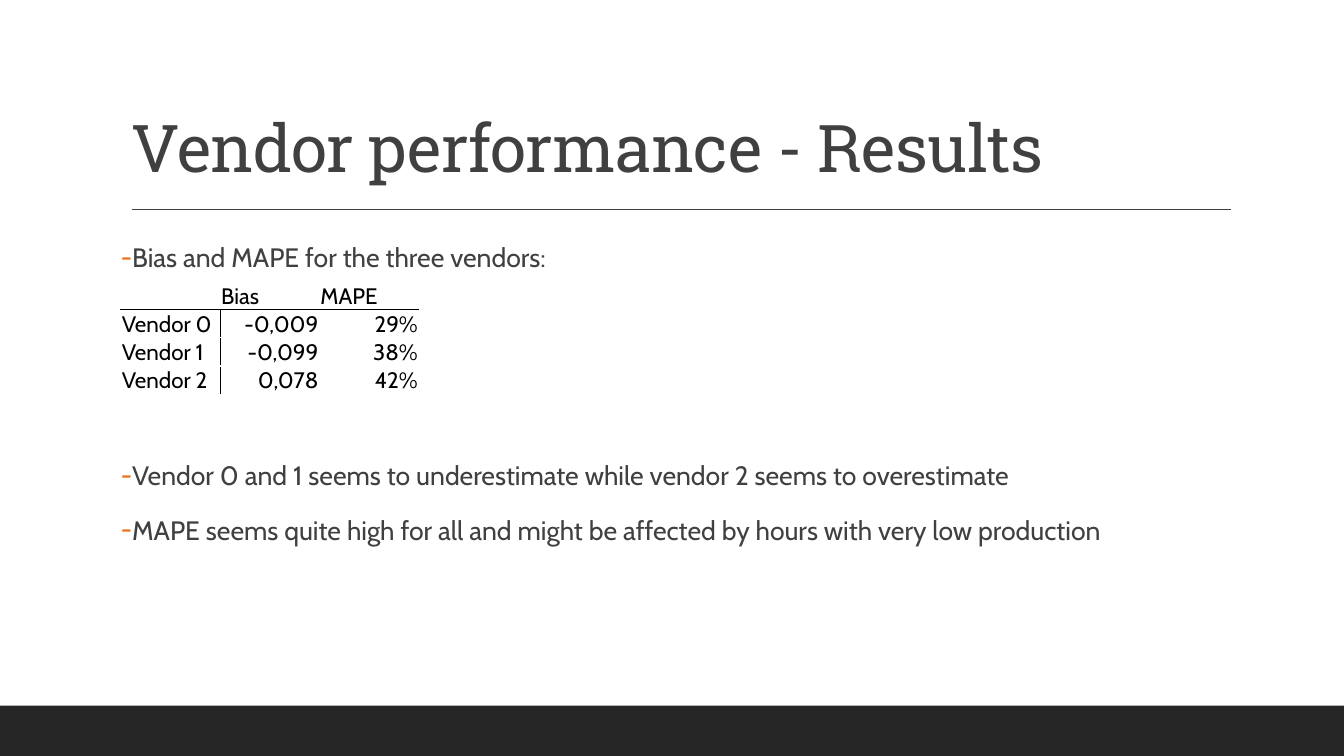
from lxml.etree import SubElement
from pptx import Presentation
from pptx.dml.color import RGBColor
from pptx.enum.shapes import MSO_CONNECTOR as Connector, MSO_SHAPE as Shape
from pptx.enum.text import MSO_ANCHOR as Anchor, MSO_AUTO_SIZE as AutoSize, PP_ALIGN as Align
from pptx.oxml.ns import qn
from pptx.util import Inches, Pt

WHITE = RGBColor(0xFF, 0xFF, 0xFF)
BLACK = RGBColor(0x00, 0x00, 0x00)
CHARCOAL = RGBColor(0x26, 0x26, 0x26)
GREY = RGBColor(0x40, 0x40, 0x40)
ORANGE = RGBColor(0xEC, 0x70, 0x16)

UNIT = Inches(0.1)  # one column or row of the slide grid
COLUMNS, ROWS = 133.33, 75
LEFT, CONTENT_WIDTH = 12, 110

TITLE_FONT = {"name": "Roboto Slab", "size": Pt(47)}
BODY_FONT = {"name": "Cabin", "size": Pt(19)}
TABLE_FONT = {"name": "Cabin", "size": Pt(16)}
TITLE_FRAME = {"vertical_anchor": Anchor.BOTTOM, "auto_size": AutoSize.NONE, "word_wrap": True}
BODY_FRAME = {"vertical_anchor": Anchor.TOP, "auto_size": AutoSize.NONE, "word_wrap": True,
              "margin_left": 0, "margin_right": 0}
CELL_FORMAT = {"vertical_anchor": Anchor.BOTTOM, "margin_left": Inches(0.01),
               "margin_right": Inches(0.01), "margin_top": Inches(0.01), "margin_bottom": 0}
TABLE_FLAGS = {"first_row": False, "horz_banding": False}

TITLE = "Vendor performance - Results"
# Each finding with the points of space above it; the table fills the large gap
FINDINGS = [
    ("Bias and MAPE for the three vendors:", 12),
    ("Vendor 0 and 1 seems to underestimate while vendor 2 seems to overestimate", 128.5),
    ("MAPE seems quite high for all and might be affected by hours with very low production", 12),
]
VENDOR_SCORES = [
    ("", "Bias", "MAPE"),
    ("Vendor 0", "-0,009", "29%"),
    ("Vendor 1", "-0,099", "38%"),
    ("Vendor 2", "0,078", "42%"),
]


def grid(*counts):
    return [round(count * UNIT) for count in counts]


def apply(target, values):
    for key, value in values.items():
        setattr(target, key, value)


class ResultsSlide:
    def __init__(self, deck):
        self.slide = deck.slides.add_slide(deck.slide_layouts[1])
        self.shapes = self.slide.shapes
        self.paint(self.slide.background.fill, WHITE)

    def paint(self, fill, color):
        fill.solid()
        fill.fore_color.rgb = color

    def place(self, holder, top, height, frame_format):
        area = grid(LEFT, top, CONTENT_WIDTH, height)
        apply(holder, dict(zip(("left", "top", "width", "height"), area)))
        apply(holder.text_frame, frame_format)
        return holder.text_frame

    def add_words(self, paragraph, wording, font, color):
        run = paragraph.add_run()
        run.text = wording
        apply(run.font, font)
        run.font.color.rgb = color
        return run

    def band(self, top, height):
        footer = self.shapes.add_shape(Shape.RECTANGLE, *grid(0, top, COLUMNS, height))
        footer.shadow.inherit = False
        self.paint(footer.fill, CHARCOAL)
        footer.line.fill.background()

    def rule(self, left, right, row):
        divider = self.shapes.add_connector(Connector.STRAIGHT, *grid(left, row, right, row))
        divider.line.color.rgb = GREY
        divider.line.width = Pt(1)
        SubElement(divider._element.spPr, qn("a:effectLst"))

    def title(self, wording, top, height):
        heading = self.place(self.shapes.title, top, height, TITLE_FRAME).paragraphs[0]
        apply(heading, {"alignment": Align.LEFT, "line_spacing": 0.9})
        run = self.add_words(heading, wording, TITLE_FONT, GREY)
        run._r.get_or_add_rPr().set("spc", "-50")

    def dash_list(self, findings, top, height):
        frame = self.place(self.slide.placeholders[1], top, height, BODY_FRAME)
        for index, (wording, space_above) in enumerate(findings):
            finding = frame.add_paragraph() if index else frame.paragraphs[0]
            apply(finding, {"line_spacing": 1.1, "space_before": Pt(space_above),
                            "space_after": Pt(2)})
            self.add_words(finding, wording, BODY_FONT, GREY)
            properties = finding._p.get_or_add_pPr()
            properties.set("marL", str(UNIT))
            properties.set("indent", str(-UNIT))
            bullet_color = SubElement(properties, qn("a:buClr"))
            SubElement(bullet_color, qn("a:srgbClr"), val=str(ORANGE))
            SubElement(properties, qn("a:buFont"), typeface=BODY_FONT["name"])
            SubElement(properties, qn("a:buChar"), char="-")

    def cell_borders(self, cell, row, column):
        """Rule black lines below the header and right of the vendor names."""
        black_edges = {
            "L": row > 0 and column == 1,
            "R": row > 0 and column == 0,
            "T": row == 1,
            "B": row == 0,
        }
        properties = cell._tc.get_or_add_tcPr()
        for edge, is_black in black_edges.items():
            line = SubElement(properties, qn(f"a:ln{edge}"), w=str(Pt(1)))
            fill = SubElement(line, qn("a:solidFill"))
            SubElement(fill, qn("a:srgbClr"), val=str(BLACK if is_black else WHITE))

    def table(self, scores, top, column_width, row_height):
        row_count, column_count = len(scores), len(scores[0])
        area = grid(LEFT, top, column_count * column_width, row_count * row_height)
        score_table = self.shapes.add_table(row_count, column_count, *area).table
        apply(score_table, TABLE_FLAGS)
        for row, values in enumerate(scores):
            for column, value in enumerate(values):
                cell = score_table.cell(row, column)
                apply(cell, CELL_FORMAT)
                self.cell_borders(cell, row, column)
                self.paint(cell.fill, WHITE)
                entry = cell.text_frame.paragraphs[0]
                entry.alignment = Align.RIGHT if row and column else Align.LEFT
                if value:
                    self.add_words(entry, value, TABLE_FONT, BLACK)
                else:
                    size = str(round(TABLE_FONT["size"].pt * 100))
                    SubElement(entry._p, qn("a:endParaRPr"), sz=size)


def main():
    deck = Presentation()
    deck.slide_width, deck.slide_height = grid(COLUMNS, ROWS)
    results = ResultsSlide(deck)
    results.band(top=70, height=5)
    results.rule(left=13.1, right=122.1, row=20.8)
    results.title(TITLE, top=3.1, height=15.9)
    results.dash_list(FINDINGS, top=23.1, height=41.1)
    results.table(VENDOR_SCORES, top=27.9, column_width=9.85, row_height=2.8)
    deck.save("out.pptx")


if __name__ == "__main__":
    main()
